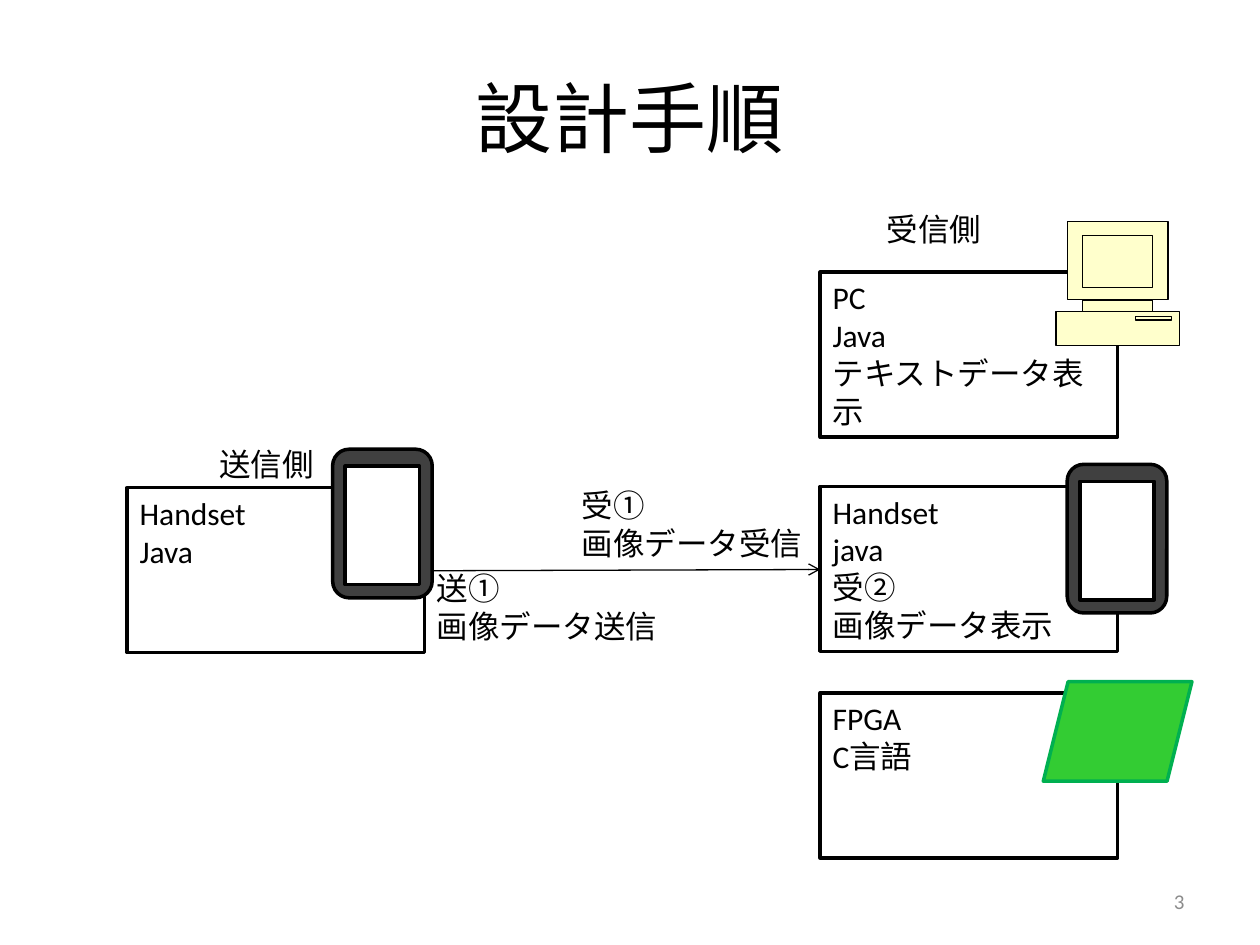
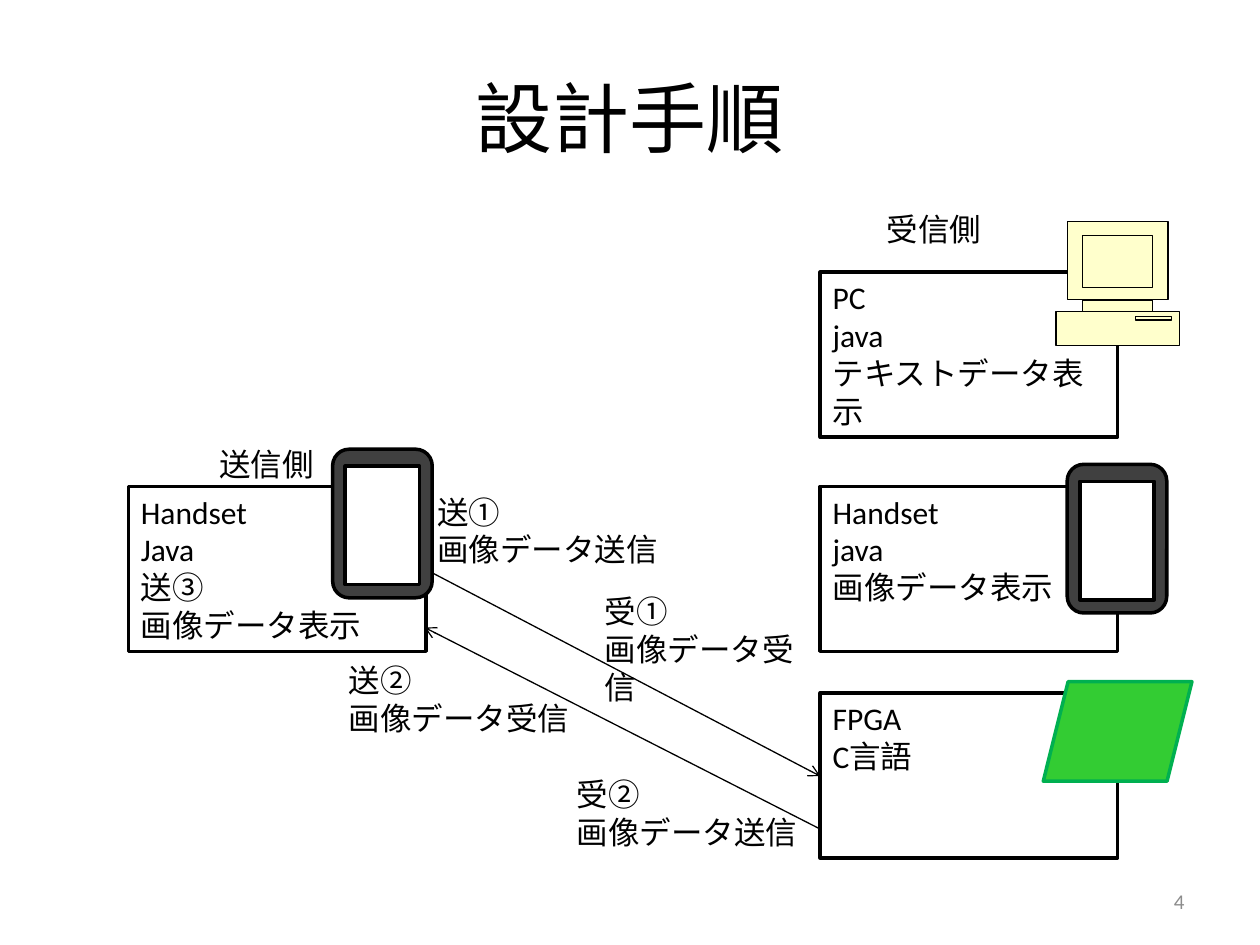
from lxml import etree
from pptx import Presentation
from pptx.dml.color import RGBColor
from pptx.enum.shapes import MSO_CONNECTOR, MSO_SHAPE
from pptx.enum.text import MSO_ANCHOR, MSO_AUTO_SIZE, PP_ALIGN
from pptx.oxml.ns import qn
from pptx.util import Inches, Pt

BLACK = RGBColor(0x00, 0x00, 0x00)
WHITE = RGBColor(0xFF, 0xFF, 0xFF)
GREY = RGBColor(0x8C, 0x8C, 0x8C)
CASE = RGBColor(0x40, 0x40, 0x40)
CREAM = RGBColor(0xFF, 0xFF, 0xCC)
BOARD = RGBColor(0x33, 0xCC, 0x33)
BOARD_EDGE = RGBColor(0x00, 0xB0, 0x50)

LEFT, CENTER, RIGHT = PP_ALIGN.LEFT, PP_ALIGN.CENTER, PP_ALIGN.RIGHT
TOP, MIDDLE = MSO_ANCHOR.TOP, MSO_ANCHOR.MIDDLE
GROW, FIXED = MSO_AUTO_SIZE.SHAPE_TO_FIT_TEXT, MSO_AUTO_SIZE.NONE
STRAIGHT = MSO_CONNECTOR.STRAIGHT
RECTANGLE = MSO_SHAPE.RECTANGLE
ROUNDED = MSO_SHAPE.FLOWCHART_ALTERNATE_PROCESS
PROCESS = MSO_SHAPE.FLOWCHART_PROCESS
PARALLELOGRAM = MSO_SHAPE.PARALLELOGRAM

COLUMNS, ROWS = 100, 75
BOX_WIDTH, BOX_HEIGHT = 23.6, 13.1
LABEL_HEIGHT = 7.1
RECEIVER_COLUMN = 65.1
RECEIVER_ROWS = (21.6, 38.6, 55)


class Diagram:
    """Draws the elements of a device diagram on a grid of columns and rows."""

    font = "Calibri"
    body_size = 18

    def __init__(self, presentation):
        self.presentation = presentation
        self.slide = None

    def new_slide(self, title, number):
        layout = self.presentation.slide_layouts[6]
        self.slide = self.presentation.slides.add_slide(layout)
        self.text(title, 5, 3, 90, 12.5, 44, BLACK, CENTER, MIDDLE, FIXED)
        self.text(number, 71.7, 69.5, 23.3, 4, 12, GREY, RIGHT, MIDDLE, FIXED)

    def place(self, column, row):
        return (round(self.presentation.slide_width * column / COLUMNS),
                round(self.presentation.slide_height * row / ROWS))

    def set_text(self, shape, text, size, color, align, anchor, fit):
        frame = shape.text_frame
        frame.text = text
        frame.word_wrap = True
        frame.auto_size = fit
        frame.vertical_anchor = anchor
        for paragraph in frame.paragraphs:
            paragraph.alignment = align
            for run in paragraph.runs:
                run.font.name = self.font
                run.font.size = Pt(size)
                run.font.color.rgb = color

    def text(self, text, column, row, width, height, size=body_size,
             color=BLACK, align=LEFT, anchor=TOP, fit=GROW):
        shape = self.slide.shapes.add_textbox(
            *self.place(column, row), *self.place(width, height))
        self.set_text(shape, text, size, color, align, anchor, fit)

    def paint(self, shape, fill, line, weight):
        shape.shadow.inherit = False
        shape.fill.solid()
        shape.fill.fore_color.rgb = fill
        shape.line.color.rgb = line
        shape.line.width = Pt(weight)

    def shape(self, kind, column, row, width, height, fill,
              line=BLACK, weight=2, shapes=None):
        shapes = shapes or self.slide.shapes
        shape = shapes.add_shape(
            kind, *self.place(column, row), *self.place(width, height))
        self.paint(shape, fill, line, weight)
        return shape

    def box(self, text, column, row):
        shape = self.shape(RECTANGLE, column, row, BOX_WIDTH, BOX_HEIGHT, WHITE)
        self.set_text(shape, text, self.body_size, BLACK, LEFT, TOP, GROW)

    def arrow(self, start, end):
        connector = self.slide.shapes.add_connector(
            STRAIGHT, *self.place(*start), *self.place(*end))
        connector.line.color.rgb = BLACK
        connector.line.width = Pt(0.75)
        properties = connector._element.spPr
        line = properties.find(qn("a:ln"))
        etree.SubElement(line, qn("a:tailEnd"), type="arrow")
        etree.SubElement(properties, qn("a:effectLst"))

    def phone(self, column, row):
        shapes = self.slide.shapes.add_group_shape().shapes
        case = self.shape(ROUNDED, column - 2.95, row + 0.6, 11.8, 7.9,
                          CASE, shapes=shapes)
        case.rotation = 90
        self.shape(PROCESS, column, row, 5.9, 9.4, WHITE, shapes=shapes)

    def computer(self, column, row):
        shapes = self.slide.shapes.add_group_shape().shapes
        half = ((4, 0), (4, 6.2), (2.8, 6.2), (2.8, 7.1), (4.9, 7.1), (4.9, 9.8))
        center = column + 4.9
        outline = [(center + x, row + y) for x, y in half]
        outline += [(center - x, row + y) for x, y in reversed(half)]
        points = [self.place(*point) for point in outline]
        builder = shapes.build_freeform(*points[0])
        builder.add_line_segments(points[1:], close=True)
        self.paint(builder.convert_to_shape(), CREAM, BLACK, 0.75)
        neck, screen, slot = (2.1, 6.2, 5.6, 0.9), (2.1, 1.1, 5.6, 4.1), (6.3, 7.5, 2.9, 0.3)
        for x, y, width, height in (neck, screen, slot):
            self.shape(RECTANGLE, column + x, row + y, width, height,
                       CREAM, BLACK, 0.75, shapes)

    def scene(self, number, sender, sender_place, receivers, arrows, labels):
        self.new_slide("設計手順", number)
        for text, row in zip(receivers, RECEIVER_ROWS):
            self.box(text, RECEIVER_COLUMN, row)
        self.box(sender, *sender_place)
        for start, end in arrows:
            self.arrow(start, end)
        for text, column, row, width in labels:
            self.text(text, column, row, width, LABEL_HEIGHT)
        self.text("受信側", 69.4, 16.2, 11, 4)
        self.text("送信側", 16.4, 34.8, 11, 4)
        self.phone(85.7, 38.2)
        self.phone(27.4, 37)
        self.shape(PARALLELOGRAM, 82.8, 54.1, 11.8, 7.9, BOARD, BOARD_EDGE)
        self.computer(83.8, 17.6)


presentation = Presentation()
presentation.slide_width = Inches(10)
presentation.slide_height = Inches(7.5)
diagram = Diagram(presentation)

diagram.scene(
    "3", "Handset\nJava", (10.1, 38.7),
    ("PC\nJava\nテキストデータ表示", "Handset\njava\n受②\n画像データ表示", "FPGA\nC言語"),
    [((33.7, 45.3), (65.1, 45.2))],
    [("送①\n画像データ送信", 33.7, 44.7, 23),
     ("受①\n画像データ受信", 45.2, 38.1, 19.7)])

diagram.scene(
    "4", "Handset\nJava\n送③\n画像データ表示", (10.2, 38.6),
    ("PC\njava\nテキストデータ表示", "Handset\njava\n画像データ表示", "FPGA\nC言語"),
    [((33.8, 45.2), (65.1, 61.6)), ((65.1, 65.8), (33.7, 49.8))],
    [("送①\n画像データ送信", 33.7, 38.6, 20.2),
     ("受①\n画像データ受信", 47, 46.5, 19),
     ("受②\n画像データ送信", 44.8, 61, 20.2),
     ("送②\n画像データ受信", 26.7, 52, 20.2)])

presentation.save("out.pptx")
